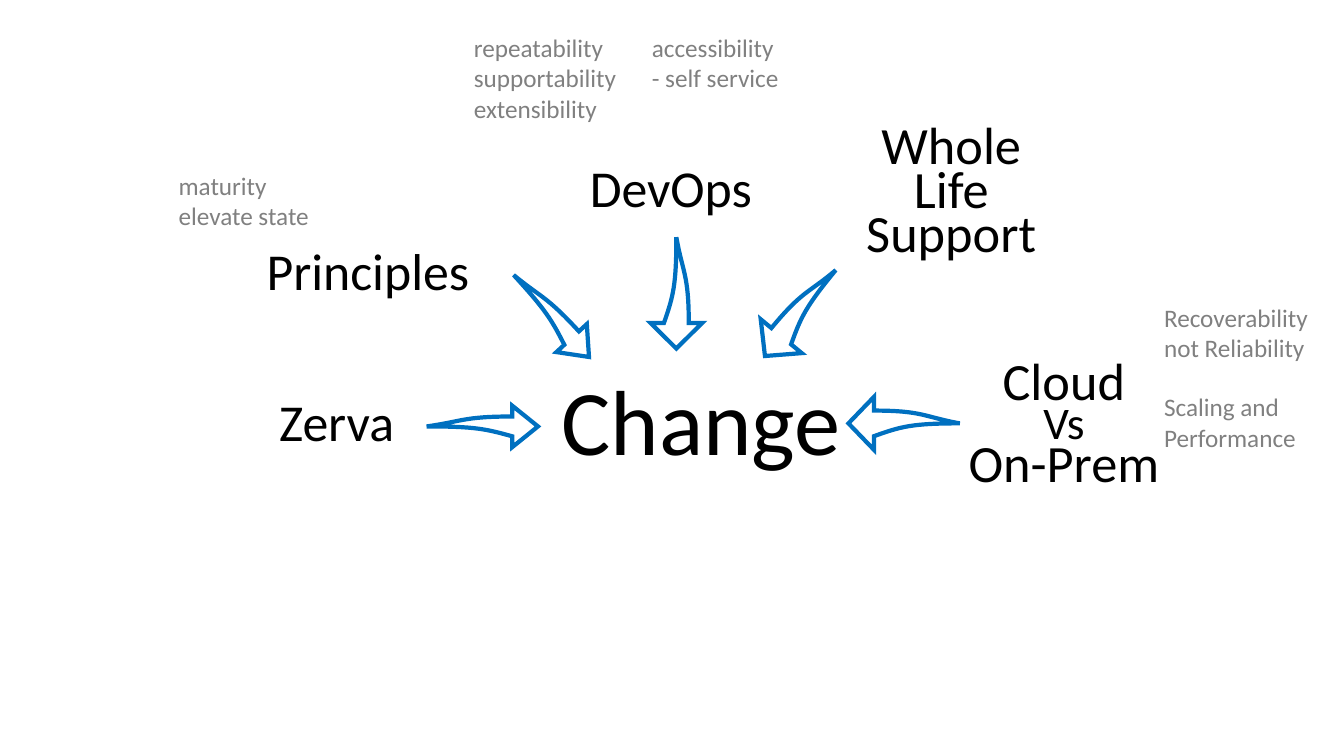
import pptx
import pptx.dml.color
import pptx.enum.text
import pptx.oxml
import pptx.oxml.ns
import pptx.util
from dataclasses import dataclass

Pt = pptx.util.Pt
RGB = pptx.dml.color.RGBColor
ALIGN = pptx.enum.text.PP_ALIGN
ANCHOR = pptx.enum.text.MSO_ANCHOR
AUTO = pptx.enum.text.MSO_AUTO_SIZE


@dataclass(frozen=True)
class Theme:
    font: str = "Calibri"
    ink: RGB = RGB(0, 0, 0)
    muted: RGB = RGB(0x80, 0x80, 0x80)
    accent: RGB = RGB(0x00, 0x70, 0xC0)
    title: float = 66
    topic: float = 37
    tight_topic: float = 37.4
    versus: float = 32.3
    note: float = 18
    outline: float = 3


TAIL = (0, 0.5)
CORNERS = [(0.77, 0.26), (0.77, 0), (1, 0.5), (0.77, 1), (0.77, 0.74), TAIL]
CURVES = {
    0: [(0.32, 0.38), (0.33, 0.26)],
    5: [(0.53, 0.56), (0.43, 0.5)],
}


class Deck:
    def __init__(self, theme):
        self.theme = theme
        self.prs = pptx.Presentation()
        self.prs.slide_width, self.prs.slide_height = Pt(960), Pt(540)
        self.s = self.prs.slides.add_slide(self.prs.slide_layouts[6])

    def text(self, box, lines, color, align=None, spacing=None, anchor=ANCHOR.MIDDLE,
             wrap=True, grow=False):
        sp = self.s.shapes.add_textbox(*map(Pt, box))
        tf = sp.text_frame
        tf.word_wrap = wrap
        tf.vertical_anchor = anchor
        if grow:
            tf.auto_size = AUTO.SHAPE_TO_FIT_TEXT
        for i, (words, size) in enumerate(lines):
            p = tf.add_paragraph() if i else tf.paragraphs[0]
            p.alignment = align
            p.line_spacing = spacing
            r = p.add_run()
            r.text = words
            r.font.name = self.theme.font
            r.font.size = Pt(size)
            r.font.color.rgb = color

    def title(self, box, words):
        self.text(box, [(words, self.theme.title)], self.theme.ink, spacing=0.9)

    def topic(self, box, lines, spacing):
        self.text(box, lines, self.theme.ink, ALIGN.CENTER, spacing)

    def note(self, box, lines, wrap=True):
        self.text(box, [(line, self.theme.note) for line in lines], self.theme.muted,
                  anchor=ANCHOR.TOP, wrap=wrap, grow=True)

    def arrow(self, cx, cy, height, angle, mirrored, width=79.5):
        def local(point):
            x, y = point
            return x * width, (1 - y if mirrored else y) * height

        def place(point):
            x, y = local(point)
            return Pt(cx - width / 2 + x), Pt(cy - height / 2 + y)

        fb = self.s.shapes.build_freeform(*place(TAIL))
        fb.add_line_segments([place(corner) for corner in CORNERS], close=True)
        sp = fb.convert_to_shape()
        sides = sp.element.xpath(".//a:lnTo")
        for i, handles in CURVES.items():
            side = sides[i]
            side.tag = pptx.oxml.ns.qn("a:cubicBezTo")
            for k, handle in enumerate(handles):
                x, y = map(Pt, local(handle))
                pt = pptx.oxml.parse_xml(
                    f'<a:pt {pptx.oxml.ns.nsdecls("a")} x="{x}" y="{y}"/>')
                side.insert(k, pt)
        sp.rotation = angle
        sp.shadow.inherit = False
        sp.fill.background()
        sp.line.color.rgb = self.theme.accent
        sp.line.width = Pt(self.theme.outline)
        ln = sp.element.xpath("./p:spPr/a:ln")[0]
        ln.append(pptx.oxml.parse_xml(
            f'<a:miter {pptx.oxml.ns.nsdecls("a")} lim="800000"/>'))


def main():
    theme = Theme()
    deck = Deck(theme)
    deck.title((393.84, 237.6, 241.92, 132.48), "Change")

    deck.topic((682.56, 253.8, 154.8, 104.4),
               [("Cloud", theme.tight_topic), ("Vs", theme.versus),
                ("On-Prem", theme.tight_topic)], 0.7)
    deck.topic((602.1, 87.12, 154.8, 104.4),
               [("Whole Life Support", theme.tight_topic)], 0.7)

    for box, lines in [
        ((824.4, 212.4, 118.8, 51.12), ["Recoverability not Reliability"]),
        ((824.4, 276.3, 118.8, 51.12), ["Scaling and Performance"]),
        ((331.4, 19.6, 118.8, 72.72),
         ["repeatability", "supportability", "extensibility"]),
        ((120.5, 118.08, 132.48, 51.12), ["maturity", "elevate state"]),
    ]:
        deck.note(box, lines)
    deck.note((458.5, 19.6, 107.28, 51.12),
              ["accessibility", "- self service"], wrap=False)

    for box, words in [
        ((401.76, 83.8, 154.8, 104.4), "DevOps"),
        ((182.16, 143.28, 161.28, 104.4), "Principles"),
        ((159.84, 279.36, 161.28, 47.52), "Zerva"),
    ]:
        deck.topic(box, [(words, theme.topic)], 0.9)

    for cx, cy, height, angle, mirrored in [
        (483.12, 209.2, 36.9, 90, False),
        (571.7, 223.6, 38, 129.5, True),
        (645.8, 302.4, 38, 180, True),
        (393.8, 225.7, 29.5, 47.4, False),
        (344.5, 304.6, 29.5, 0, False),
    ]:
        deck.arrow(cx, cy, height, angle, mirrored)

    deck.prs.save("out.pptx")


if __name__ == "__main__":
    main()
